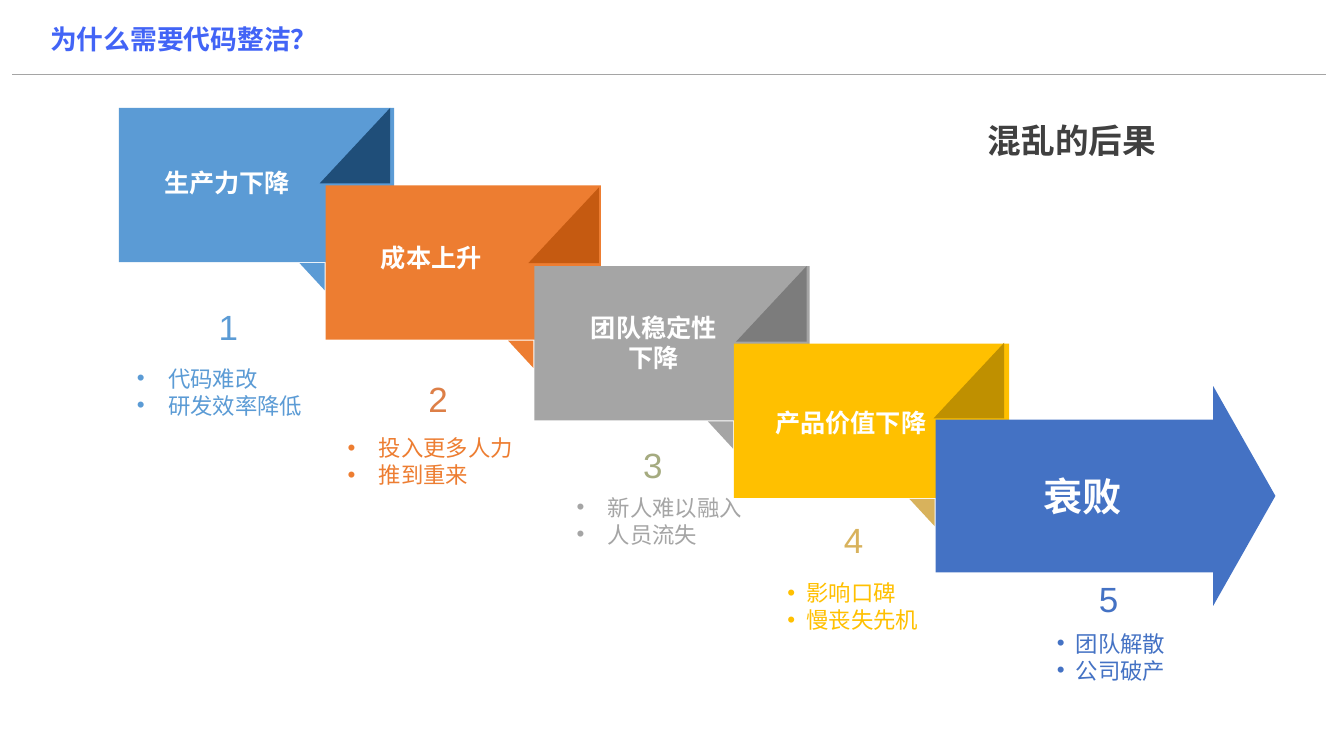
from dataclasses import dataclass

from lxml.etree import SubElement
from pptx import Presentation
from pptx.dml.color import RGBColor
from pptx.enum.lang import MSO_LANGUAGE_ID
from pptx.enum.shapes import MSO_CONNECTOR, MSO_SHAPE
from pptx.enum.text import PP_ALIGN
from pptx.oxml.ns import qn
from pptx.util import Inches, Pt


@dataclass(frozen=True)
class Theme:
    chinese: str = "Noto Sans CJK SC"
    latin: str = "Arial"
    title: str = "4264F6"
    heading: str = "404040"
    white: str = "FFFFFF"
    blue: str = "5B9BD5"
    blue_fold: str = "1F4E79"
    orange: str = "ED7D31"
    orange_fold: str = "C55A11"
    orange_number: str = "DD7F47"
    gray: str = "A5A5A5"
    gray_fold: str = "7C7C7C"
    gray_number: str = "A5AB80"
    gold: str = "FFC000"
    gold_fold: str = "BF9000"
    gold_number: str = "D8B25C"
    indigo: str = "4472C4"
    title_size: float = 19.1
    heading_size: float = 24
    label_size: float = 18
    number_size: float = 25
    bullet_size: float = 16
    decline_size: float = 28


THEME = Theme()
CARD_WIDTH, CARD_HEIGHT = 2.73, 1.53
FOLD_WIDTH, FOLD_HEIGHT = 0.7, 0.75
TAB_WIDTH, TAB_HEIGHT = 0.27, 0.25


@dataclass(frozen=True)
class Step:
    card: tuple
    fold: tuple
    color: str
    fold_color: str
    tab_color: str
    label: str
    label_box: tuple


@dataclass(frozen=True)
class Consequence:
    number_at: tuple
    number_color: str
    bullets: str
    bullet_box: tuple
    color: str
    indent: float = 0.31
    align: PP_ALIGN = PP_ALIGN.LEFT


STEPS = [
    Step((1.18, 1.07), (3.87, 1.07), THEME.blue, THEME.blue_fold, THEME.blue,
         "生产力下降", (1.53, 1.61, 1.57, 0.4)),
    Step((3.23, 1.84), (5.94, 1.86), THEME.orange, THEME.orange_fold, THEME.orange,
         "成本上升", (3.68, 2.35, 1.57, 0.4)),
    Step((5.3, 2.64), (8, 2.64), THEME.gray, THEME.gray_fold, THEME.gray,
         "团队稳定性\n下降", (5.7, 3.05, 1.57, 0.71)),
    Step((7.28, 3.41), (9.96, 3.4), THEME.gold, THEME.gold_fold, THEME.gold_number,
         "产品价值下降", (7.59, 3.99, 1.74, 0.4)),
]
ARROW_BOX = (9.28, 3.83, 3.37, 2.18)

CONSEQUENCES = [
    Consequence((2.07, 2.98), THEME.blue, "代码难改\n研发效率降低",
                (1.26, 3.57, 2, 0.64), THEME.blue),
    Consequence((4.15, 3.7), THEME.orange_number, "投入更多人力\n推到重来",
                (3.35, 4.26, 2, 0.64), THEME.orange),
    Consequence((6.28, 4.35), THEME.gray_number, "新人难以融入\n人员流失",
                (5.62, 4.85, 2, 0.64), THEME.gray),
    Consequence((8.27, 5.09), THEME.gold_number, "影响口碑\n慢丧失先机",
                (7.71, 5.7, 2.42, 0.81), THEME.gold, 0.19),
    Consequence((10.8, 5.68), THEME.indigo, "团队解散\n公司破产",
                (10.02, 6.2, 2, 0.81), THEME.indigo, 0.19, PP_ALIGN.CENTER),
]


def write_text(frame, text, *, size, color, font=THEME.chinese, bold=False,
               align=PP_ALIGN.LEFT, indent=None):
    for index, line in enumerate(text.split("\n")):
        paragraph = frame.add_paragraph() if index else frame.paragraphs[0]
        paragraph.alignment = align
        if indent:
            properties = paragraph._p.get_or_add_pPr()
            properties.set("marL", str(Inches(indent)))
            properties.set("indent", str(-Inches(indent)))
            SubElement(properties, qn("a:buFont"), typeface=THEME.latin)
            SubElement(properties, qn("a:buChar"), char="•")
        run = paragraph.add_run()
        run.text = line
        run.font.name = font
        run.font.size = Pt(size)
        run.font.bold = bold
        run.font.color.rgb = RGBColor.from_string(color)
        run.font.language_id = MSO_LANGUAGE_ID.SIMPLIFIED_CHINESE


class SlideBuilder:
    def __init__(self, slide, theme):
        self.slide = slide
        self.theme = theme

    def paint(self, shape, color):
        shape.shadow.inherit = False
        shape.fill.solid()
        shape.fill.fore_color.rgb = RGBColor.from_string(color)
        shape.line.fill.background()

    def text(self, box, text, wrap=True, **style):
        shape = self.slide.shapes.add_textbox(*map(Inches, box))
        shape.text_frame.word_wrap = wrap
        write_text(shape.text_frame, text, **style)

    def shape(self, kind, box, color, adjustments=(), rotation=0):
        shape = self.slide.shapes.add_shape(kind, *map(Inches, box))
        for index, value in enumerate(adjustments):
            shape.adjustments[index] = value
        shape.rotation = rotation
        self.paint(shape, color)

    def fold(self, right, top, color):
        bottom = top + FOLD_HEIGHT
        builder = self.slide.shapes.build_freeform(Inches(right), Inches(top))
        corners = [(right, bottom), (right - FOLD_WIDTH, bottom)]
        builder.add_line_segments([(Inches(x), Inches(y)) for x, y in corners])
        self.paint(builder.convert_to_shape(), color)

    def rule(self, left, right, top, color, width):
        connector = self.slide.shapes.add_connector(
            MSO_CONNECTOR.STRAIGHT, Inches(left), Inches(top), Inches(right), Inches(top))
        connector.line.color.rgb = RGBColor.from_string(color)
        connector.line.width = Pt(width)
        SubElement(connector._element.spPr, qn("a:effectLst"))


def main():
    presentation = Presentation()
    presentation.slide_width = Inches(13.33)
    presentation.slide_height = Inches(7.5)
    slide = presentation.slides.add_slide(presentation.slide_layouts[6])
    builder = SlideBuilder(slide, THEME)
    theme = builder.theme

    builder.rule(0.12, 13.15, 0.74, theme.gray, 0.5)
    builder.text((0.4, 0.18, 5.65, 0.42), "为什么需要代码整洁？",
                 size=theme.title_size, color=theme.title, bold=True)
    builder.text((9.7, 1.14, 1.88, 0.5), "混乱的后果", wrap=False,
                 size=theme.heading_size, color=theme.heading, bold=True)

    for step in STEPS:
        builder.shape(MSO_SHAPE.RECTANGLE, (*step.card, CARD_WIDTH, CARD_HEIGHT), step.color)
        builder.fold(*step.fold, step.fold_color)
    builder.shape(MSO_SHAPE.RIGHT_ARROW, ARROW_BOX, theme.indigo, (0.695, 0.283))

    next_lefts = [step.card[0] for step in STEPS[1:]] + [ARROW_BOX[0]]
    for step, next_left in zip(STEPS, next_lefts):
        tab_top = step.card[1] + CARD_HEIGHT + 0.02
        builder.shape(MSO_SHAPE.ISOSCELES_TRIANGLE,
                      (next_left - TAB_WIDTH, tab_top, TAB_WIDTH, TAB_HEIGHT),
                      step.tab_color, (1,), 270)
        align = PP_ALIGN.CENTER if "\n" in step.label else PP_ALIGN.LEFT
        builder.text(step.label_box, step.label, size=theme.label_size,
                     color=theme.white, bold=True, align=align)
    builder.text((10.25, 4.64, 1.74, 0.57), "衰败",
                 size=theme.decline_size, color=theme.white, bold=True)

    for number, item in enumerate(CONSEQUENCES, 1):
        builder.text((*item.number_at, 0.68, 0.52), str(number), font=theme.latin,
                     size=theme.number_size, color=item.number_color)
        builder.text(item.bullet_box, item.bullets, size=theme.bullet_size,
                     color=item.color, align=item.align, indent=item.indent)

    presentation.save("out.pptx")


if __name__ == "__main__":
    main()
